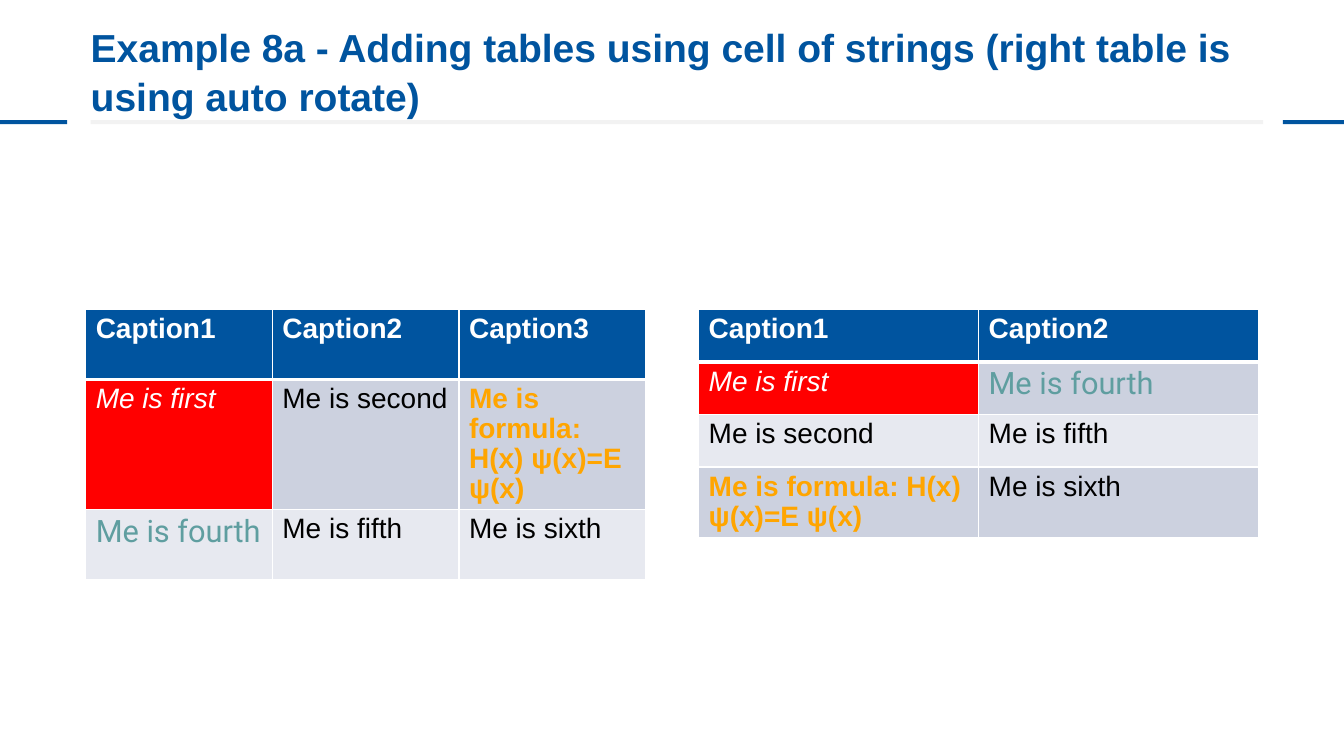
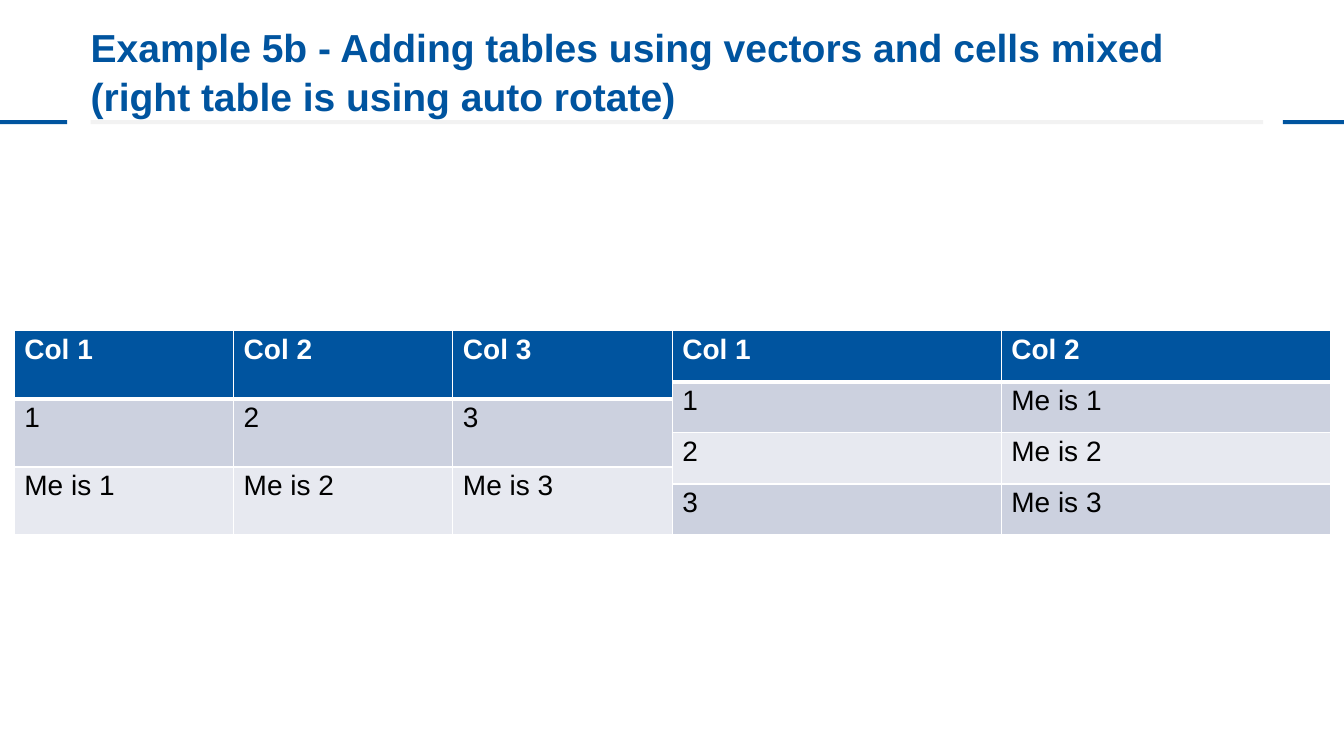
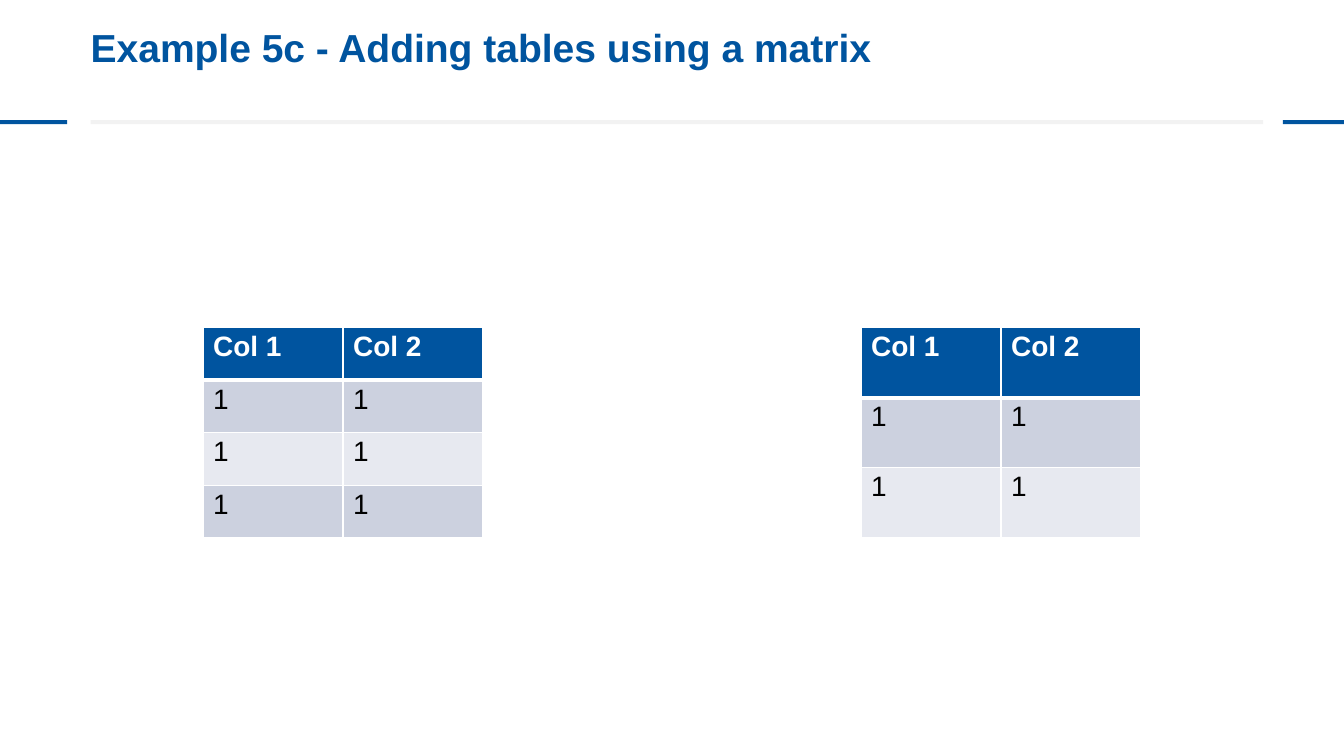
from dataclasses import dataclass

from lxml import etree
from pptx import Presentation
from pptx.dml.color import RGBColor
from pptx.enum.shapes import MSO_SHAPE
from pptx.enum.text import MSO_ANCHOR, MSO_AUTO_SIZE, PP_ALIGN
from pptx.oxml.ns import qn
from pptx.slide import Slide, SlideLayout
from pptx.table import _Cell
from pptx.util import Pt

RECTANGLE = MSO_SHAPE.RECTANGLE
TOP = MSO_ANCHOR.TOP
NO_AUTOFIT = MSO_AUTO_SIZE.NONE
LEFT = PP_ALIGN.LEFT

COLORS = {
    "blue": "00549F",
    "pale_gray": "F2F2F2",
    "odd_row": "CCD1DF",
    "even_row": "E7E9F0",
    "white": "FFFFFF",
    "black": "000000",
    "red": "FF0000",
    "orange": "FFA500",
    "teal": "5F9EA0",
}
SLIDE_WIDTH, SLIDE_HEIGHT = 960, 537.84
CONTENT_LEFT, CONTENT_WIDTH = 64.8, 837.4
TITLE_TOP, TITLE_HEIGHT = 15.1, 65.5
BAND_TOP, BAND_HEIGHT = 85.8, 2.9
THIN_BORDER, HEADER_BORDER = 1, 3

Rows = list[list[str]]


@dataclass(frozen=True)
class Band:
    left: float
    width: float
    color: str


@dataclass(frozen=True)
class CellStyle:
    color: str = "black"
    size: float = 20
    font: str = "Arial"
    bold: bool = False
    italic: bool = False
    fill: str | None = None


@dataclass(frozen=True)
class TableSpec:
    left: float
    body: Rows


@dataclass(frozen=True)
class TableSlide:
    title: str
    caption: str
    top: float
    width: float
    height: float
    tables: tuple[TableSpec, ...]


BANDS = (
    Band(0, 48, "blue"),
    Band(916.4, 43.6, "blue"),
    Band(CONTENT_LEFT, CONTENT_WIDTH, "pale_gray"),
)
HEADER_STYLE = CellStyle(color="white", bold=True, fill="blue")
BODY_STYLE = CellStyle()
FORMULA = "Me is formula: H(x) ψ(x)=E ψ(x)"
SPECIAL_STYLES = {
    "Me is first": CellStyle(color="white", italic=True, fill="red"),
    FORMULA: CellStyle(color="orange", bold=True),
    "Me is fourth": CellStyle(color="teal", size=22, font="Roboto"),
}


def rotate(rows: Rows) -> Rows:
    """Swap rows and columns."""
    return [list(column) for column in zip(*rows)]


STRINGS = [
    ["Me is first", "Me is second", FORMULA],
    ["Me is fourth", "Me is fifth", "Me is sixth"],
]
MIXED = [["1", "2", "3"], ["Me is 1", "Me is 2", "Me is 3"]]
SLIDES = (
    TableSlide(
        "Example 8a - Adding tables using cell of strings (right table is using auto rotate)",
        "Caption", 221.2, 400, 150,
        (TableSpec(61.2, STRINGS), TableSpec(499, rotate(STRINGS))),
    ),
    TableSlide(
        "Example 5b - Adding tables using vectors and cells mixed (right table is using auto rotate)",
        "Col ", 236.2, 470, 146,
        (TableSpec(10.2, MIXED), TableSpec(480.2, rotate(MIXED))),
    ),
    TableSlide(
        "Example 5c - Adding tables using a matrix",
        "Col ", 234.2, 200, 150,
        (TableSpec(145, [["1"] * 2] * 3), TableSpec(615, [["1"] * 2] * 2)),
    ),
)


def rgb(name: str) -> RGBColor:
    return RGBColor.from_string(COLORS[name])


def move_bands_to_layout(slide: Slide, layout: SlideLayout) -> None:
    """Draw the bands on a slide, then hand them to its layout for all slides."""
    for placeholder in list(layout.placeholders):
        if placeholder.placeholder_format.idx != 0:
            placeholder.element.getparent().remove(placeholder.element)
    shapes = []
    for band in BANDS:
        shape = slide.shapes.add_shape(
            RECTANGLE, Pt(band.left), Pt(BAND_TOP), Pt(band.width), Pt(BAND_HEIGHT)
        )
        shape.shadow.inherit = False
        shape.fill.solid()
        shape.fill.fore_color.rgb = rgb(band.color)
        shape.line.fill.background()
        shapes.append(shape)
    for shape in shapes:
        layout.shapes.element.append(shape.element)


def set_title(slide: Slide, text: str) -> None:
    title = slide.shapes.title
    title.left, title.top = Pt(CONTENT_LEFT), Pt(TITLE_TOP)
    title.width, title.height = Pt(CONTENT_WIDTH), Pt(TITLE_HEIGHT)
    frame = title.text_frame
    frame.text = text
    frame.word_wrap = True
    frame.auto_size = NO_AUTOFIT
    frame.vertical_anchor = TOP
    frame.margin_left = frame.margin_top = frame.margin_right = frame.margin_bottom = 0
    paragraph = frame.paragraphs[0]
    paragraph.alignment = LEFT
    paragraph.line_spacing = 1.05
    font = paragraph.runs[0].font
    font.name, font.size, font.bold = "Arial", Pt(27.9), True
    font.color.rgb = rgb("blue")


def set_borders(cell: _Cell, top: float, bottom: float) -> None:
    properties = cell._tc.get_or_add_tcPr()
    widths = {"lnL": THIN_BORDER, "lnR": THIN_BORDER, "lnT": top, "lnB": bottom}
    for tag, width in widths.items():
        line = etree.SubElement(properties, qn(f"a:{tag}"), w=str(Pt(width)))
        fill = etree.SubElement(line, qn("a:solidFill"))
        etree.SubElement(fill, qn("a:srgbClr"), val=COLORS["white"])


def format_cell(cell: _Cell, text: str, style: CellStyle, row_fill: str) -> None:
    cell.fill.solid()
    cell.fill.fore_color.rgb = rgb(style.fill or row_fill)
    cell.text_frame.text = text
    paragraph = cell.text_frame.paragraphs[0]
    paragraph.line_spacing = 0.96
    font = paragraph.runs[0].font
    font.name, font.size = style.font, Pt(style.size)
    font.bold, font.italic = style.bold, style.italic
    font.color.rgb = rgb(style.color)


def add_data_table(slide: Slide, content: TableSlide, spec: TableSpec) -> None:
    column_count = len(spec.body[0])
    header = [f"{content.caption}{number}" for number in range(1, column_count + 1)]
    rows = [header, *spec.body]
    table = slide.shapes.add_table(
        len(rows), column_count,
        Pt(spec.left), Pt(content.top), Pt(content.width), Pt(content.height),
    ).table
    for row_index, row in enumerate(rows):
        row_fill = "odd_row" if row_index % 2 else "even_row"
        top = HEADER_BORDER if row_index == 1 else THIN_BORDER
        bottom = HEADER_BORDER if row_index == 0 else THIN_BORDER
        for column_index, text in enumerate(row):
            cell = table.cell(row_index, column_index)
            style = SPECIAL_STYLES.get(text, BODY_STYLE) if row_index else HEADER_STYLE
            set_borders(cell, top, bottom)
            format_cell(cell, text, style, row_fill)


def main() -> None:
    presentation = Presentation()
    presentation.slide_width = Pt(SLIDE_WIDTH)
    presentation.slide_height = Pt(SLIDE_HEIGHT)
    layout = presentation.slide_layouts.get_by_name("Title Only")
    for index, content in enumerate(SLIDES):
        slide = presentation.slides.add_slide(layout)
        if index == 0:
            move_bands_to_layout(slide, layout)
        set_title(slide, content.title)
        for spec in content.tables:
            add_data_table(slide, content, spec)
    presentation.save("out.pptx")


if __name__ == "__main__":
    main()
